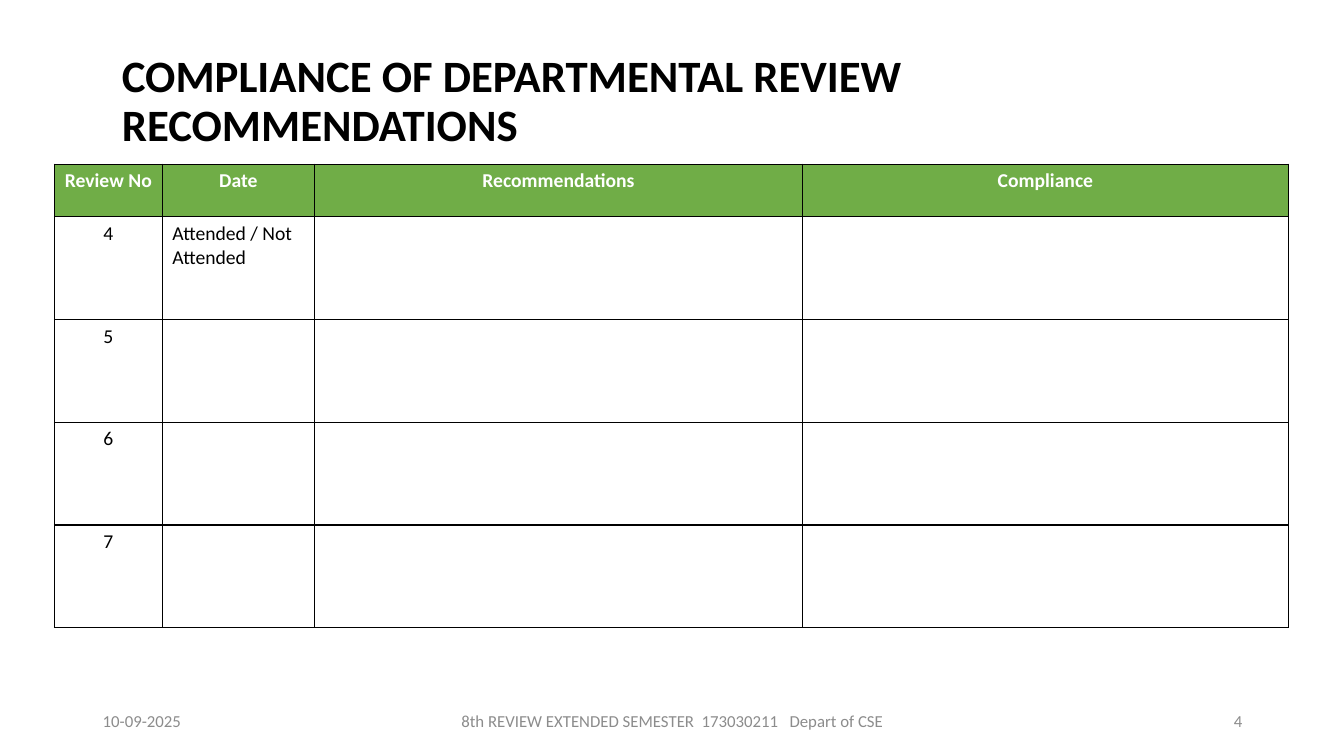
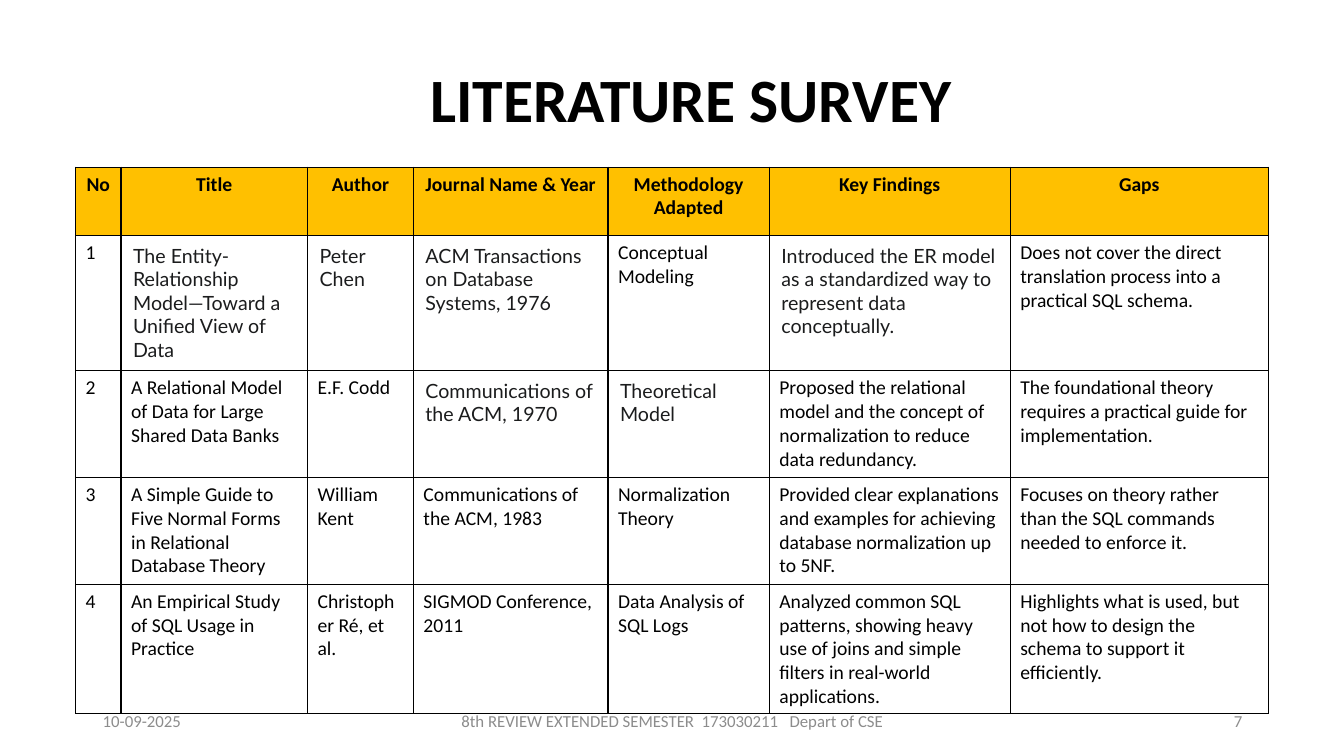
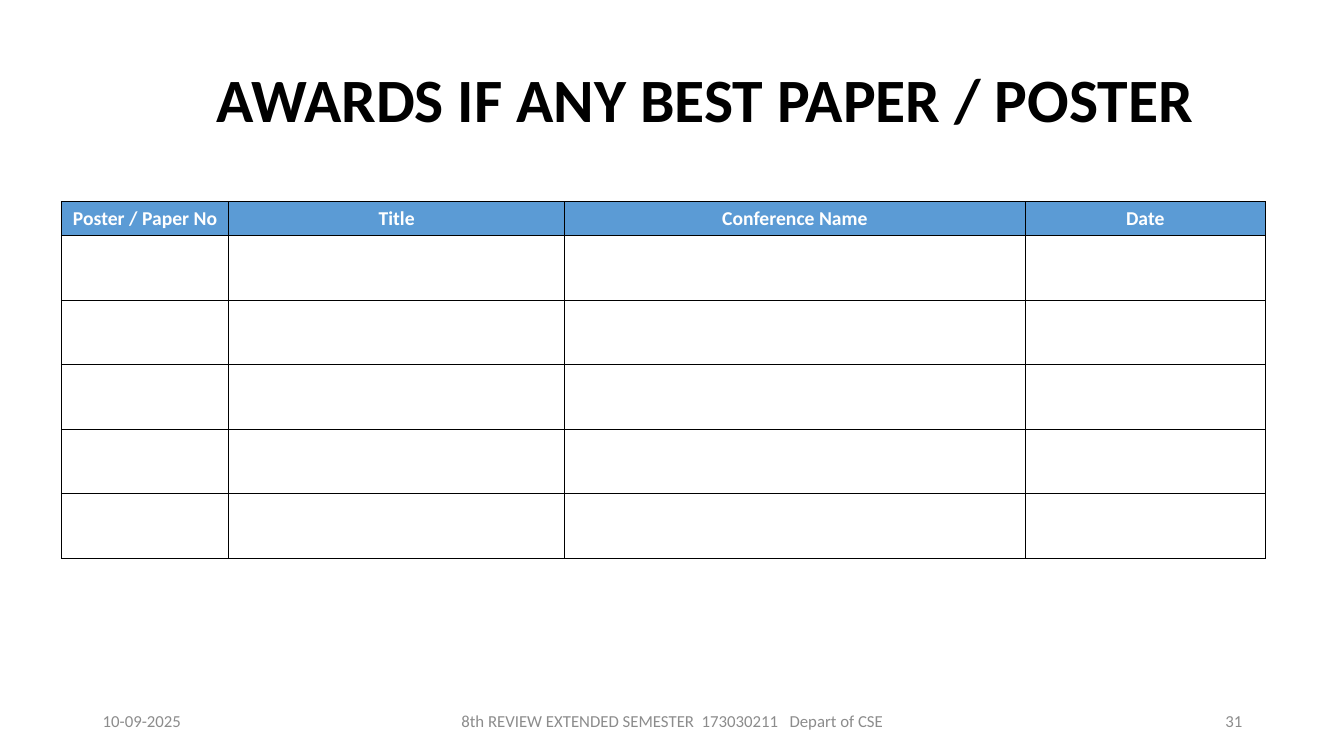
"""Build three review slides, each with a title, a bordered table and a footer."""
from lxml import etree
from pptx import Presentation
from pptx.dml.color import RGBColor
from pptx.enum.text import MSO_ANCHOR as ANCHOR, PP_ALIGN as ALIGN
from pptx.oxml.ns import qn
from pptx.util import Inches, Pt

BLACK = RGBColor(0x00, 0x00, 0x00)
WHITE = RGBColor(0xFF, 0xFF, 0xFF)
GRAY = RGBColor(0x8C, 0x8C, 0x8C)
INK = RGBColor(0x1B, 0x1C, 0x1D)
GREEN = RGBColor(0x70, 0xAD, 0x47)
AMBER = RGBColor(0xFF, 0xC0, 0x00)
BLUE = RGBColor(0x5B, 0x9B, 0xD5)
FOOTER = "8th REVIEW EXTENDED SEMESTER  173030211   Depart of CSE"

SLIDES = [
    {
        "title": "COMPLIANCE OF DEPARTMENTAL REVIEW RECOMMENDATIONS",
        "title_at": (1.11, 11.68), "size": 32, "align": ALIGN.LEFT, "number": "4",
        "at": (0.54, 1.63), "cols": [1.07, 1.51, 4.84, 4.82], "heights": [0.52] + [1.02] * 4,
        "fill": GREEN, "head_color": WHITE, "center_first": True, "lato": set(),
        "rows": [
            ["Review No", "Date", "Recommendations", "Compliance"],
            ["4", "Attended / Not Attended", "", ""],
            ["5", "", "", ""],
            ["6", "", "", ""],
            ["7", "", "", ""],
        ],
    },
    {
        "title": "LITERATURE SURVEY",
        "title_at": (1.29, 11.13), "size": 44, "align": ALIGN.CENTER, "number": "7",
        "at": (0.75, 1.66), "cols": [0.45, 1.85, 1.05, 1.93, 1.6, 2.39, 2.56],
        "heights": [0.68, 1.34, 1.06, 1.06, 1.28],
        "fill": AMBER, "head_color": BLACK, "center_first": False,
        "lato": {(1, 1), (1, 2), (1, 3), (1, 5), (2, 3), (2, 4)},
        "rows": [
            ["No", "Title", "Author", "Journal Name & Year", "Methodology Adapted",
             "Key Findings", "Gaps"],
            ["1", "The Entity-Relationship Model—Toward a Unified View of Data", "Peter Chen",
             "ACM Transactions on Database Systems, 1976", "Conceptual Modeling",
             "Introduced the ER model as a standardized way to represent data conceptually.",
             "Does not cover the direct translation process into a practical SQL schema."],
            ["2", "A Relational Model of Data for Large Shared Data Banks", "E.F. Codd",
             "Communications of the ACM, 1970", "Theoretical Model",
             "Proposed the relational model and the concept of normalization to reduce "
             "data redundancy.",
             "The foundational theory requires a practical guide for implementation."],
            ["3", "A Simple Guide to Five Normal Forms in Relational Database Theory",
             "William Kent", "Communications of the ACM, 1983", "Normalization Theory",
             "Provided clear explanations and examples for achieving database normalization "
             "up to 5NF.",
             "Focuses on theory rather than the SQL commands needed to enforce it."],
            ["4", "An Empirical Study of SQL Usage in Practice", "Christopher Ré, et al.",
             "SIGMOD Conference, 2011", "Data Analysis of SQL Logs",
             "Analyzed common SQL patterns, showing heavy use of joins and simple filters "
             "in real-world applications.",
             "Highlights what is used, but not how to design the schema to support it "
             "efficiently."],
        ],
    },
    {
        "title": "AWARDS IF ANY BEST PAPER / POSTER",
        "title_at": (1.09, 11.81), "size": 44, "align": ALIGN.CENTER, "number": "31",
        "at": (0.61, 2), "cols": [1.66, 3.33, 4.57, 2.38], "heights": [0.34] + [0.64] * 5,
        "fill": BLUE, "head_color": WHITE, "center_first": False, "lato": set(),
        "rows": [["Poster / Paper No", "Title", "Conference Name", "Date"]] + [[""] * 4] * 5,
    },
]


def write(tf, text, size, color, align=ALIGN.LEFT, bold=False, font="Calibri"):
    p = tf.paragraphs[0]
    p.text = text
    p.alignment = align
    for r in p.runs:
        r.font.name = font
        r.font.size = Pt(size)
        r.font.bold = bold
        r.font.color.rgb = color
    return p


def add_text(s, box, text, size, color, align, bold=False):
    sp = s.shapes.add_textbox(*[Inches(v) for v in box])
    tf = sp.text_frame
    tf.word_wrap = True
    tf.vertical_anchor = ANCHOR.MIDDLE
    return write(tf, text, size, color, align, bold)


prs = Presentation()
prs.slide_width = Inches(13.33)
prs.slide_height = Inches(7.5)

for page in SLIDES:
    s = prs.slides.add_slide(prs.slide_layouts[6])
    left, width = page["title_at"]
    p = add_text(s, (left, 0.4, width, 1.23), page["title"], page["size"], BLACK,
                 page["align"], True)
    p.line_spacing = 0.9

    for x, w, text, align in [(0.92, 3, "10-09-2025", ALIGN.LEFT),
                              (4.42, 4.5, FOOTER, ALIGN.CENTER),
                              (9.42, 3, page["number"], ALIGN.RIGHT)]:
        add_text(s, (x, 6.95, w, 0.4), text, 12, GRAY, align)

    rows, cols, heights = page["rows"], page["cols"], page["heights"]
    x, y = page["at"]
    table = s.shapes.add_table(len(rows), len(cols), Inches(x), Inches(y),
                               Inches(sum(cols)), Inches(sum(heights))).table
    table.first_row = table.horz_banding = False
    for col, w in zip(table.columns, cols):
        col.width = Inches(w)
    for row, h in zip(table.rows, heights):
        row.height = Inches(h)

    for i, row in enumerate(rows):
        for j, text in enumerate(row):
            cell = table.cell(i, j)
            tcPr = cell._tc.get_or_add_tcPr()
            for side in ("a:lnL", "a:lnR", "a:lnT", "a:lnB"):
                ln = etree.SubElement(tcPr, qn(side), w=str(Pt(1)))
                fill = etree.SubElement(ln, qn("a:solidFill"))
                etree.SubElement(fill, qn("a:srgbClr"), val=str(BLACK))
            head = i == 0
            if head:
                cell.fill.solid()
                cell.fill.fore_color.rgb = page["fill"]
            else:
                cell.fill.background()
            if not text:
                continue
            lato = (i, j) in page["lato"]
            color = page["head_color"] if head else INK if lato else BLACK
            centered = head or (j == 0 and page["center_first"])
            p = write(cell.text_frame, text, 14, color,
                      ALIGN.CENTER if centered else ALIGN.LEFT, head,
                      "Lato" if lato else "Calibri")
            if lato:
                cell.margin_left = cell.margin_right = Inches(0.12)
                cell.margin_top = cell.margin_bottom = Inches(0.08)
                p.space_before = p.space_after = Pt(6)

prs.save("out.pptx")
